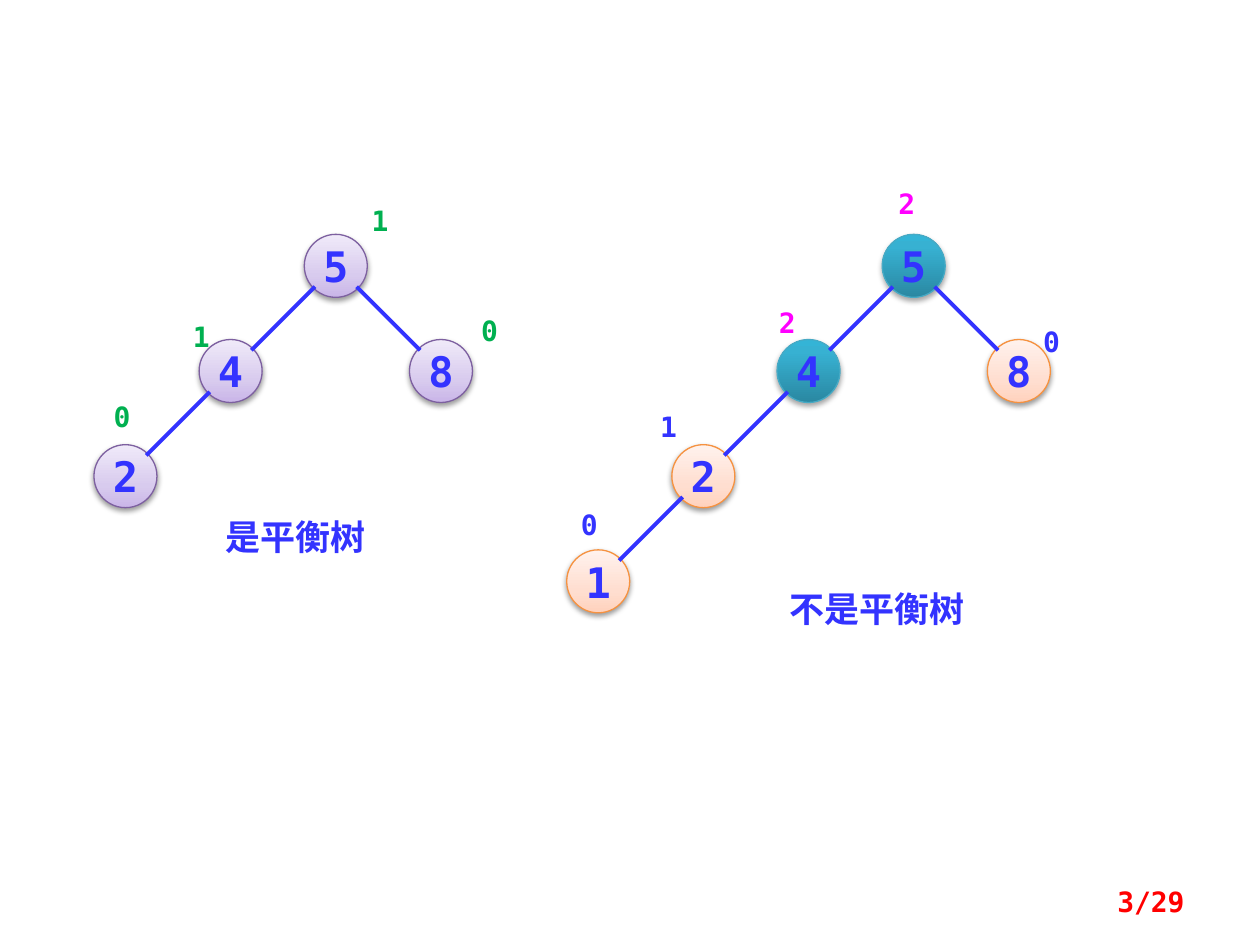
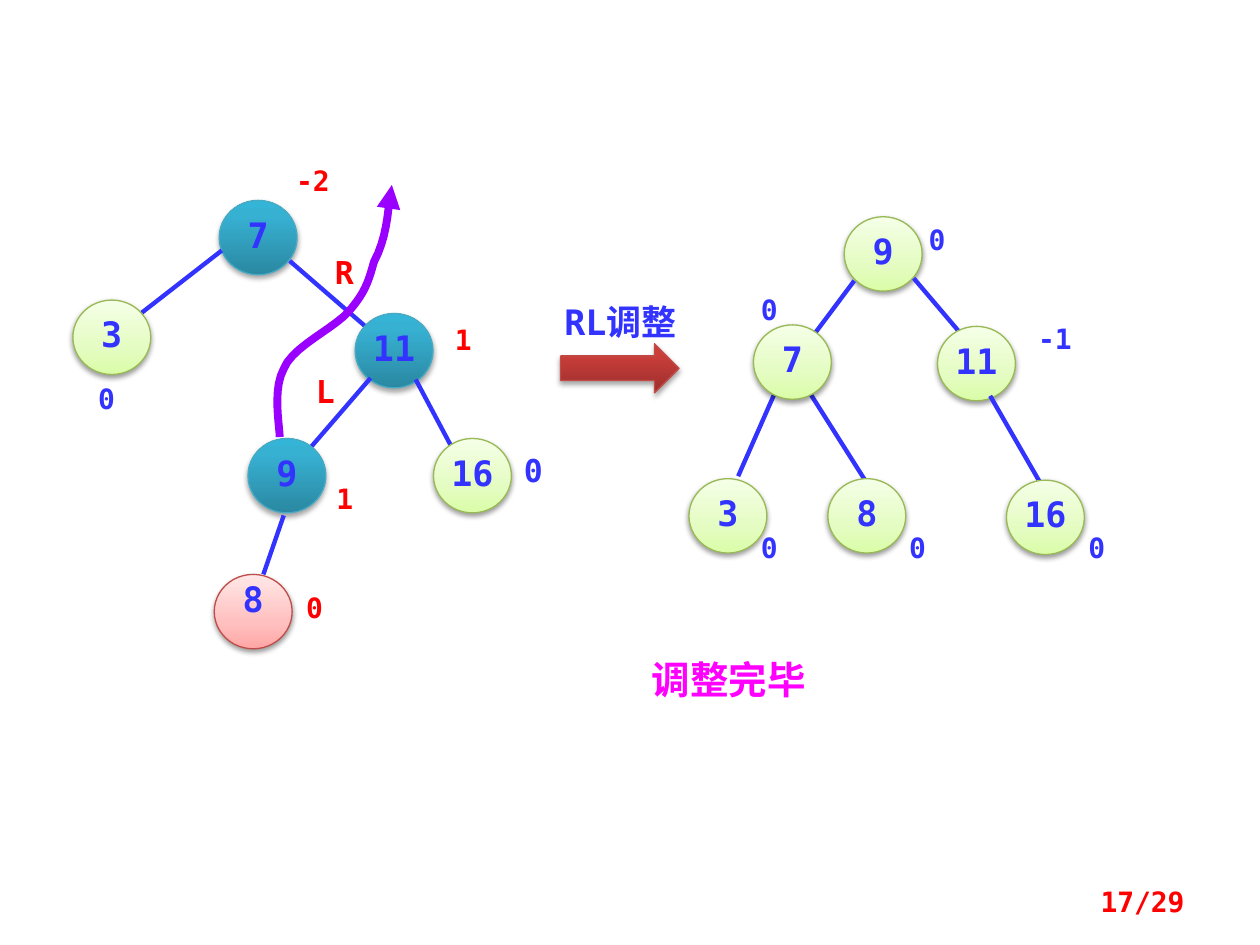
import copy
import dataclasses

import lxml.etree
import pptx
import pptx.dml.color
import pptx.enum.shapes
import pptx.enum.text
import pptx.oxml.ns
import pptx.util

Cm = pptx.util.Cm
Pt = pptx.util.Pt
qn = pptx.oxml.ns.qn
Shape = pptx.enum.shapes.MSO_SHAPE
Align = pptx.enum.text.PP_ALIGN
Anchor = pptx.enum.text.MSO_ANCHOR


@dataclasses.dataclass(frozen=True)
class Look:
    line: str
    stops: tuple
    alpha: int = 38
    drop: float = 1.6


@dataclasses.dataclass(frozen=True)
class Theme:
    font: str = "DejaVu Sans Mono"
    blue: str = "3333FF"
    red: str = "FF0000"
    green: str = "00B050"
    pink: str = "FF00FF"
    violet: str = "9900FF"
    mark: int = 16
    turn: int = 18
    text: int = 20
    done: int = 22
    key: int = 24
    lilac: Look = Look("7D60A0", ((0, "C9B5E8"), (35, "D8CBEE"), (100, "F0EAF9")))
    teal: Look = Look("46AAC5", ((0, "2A88A2"), (80, "37B1D2"), (100, "34B4D6")), 35, 1.8)
    peach: Look = Look("F69240", ((0, "FFD2BD"), (35, "FFDED0"), (100, "FFF2ED")))
    lime: Look = Look("98B955", ((0, "DAFDA7"), (35, "E4FCC2"), (100, "F5FFE7")))
    rose: Look = Look("BF4C48", ((0, "FFA6A5"), (35, "FFC0BF"), (100, "FFE7E7")))
    brick: Look = Look("BF4C48", ((0, "9C2F2D"), (80, "CB3E3A"), (100, "CE3B37")), 35, 1.8)


THEME = Theme()
STEP = 2.12
DISC = 1.27
REACH = 0.42
OVAL = (1.57, 1.5)


def rgb(code):
    return pptx.dml.color.RGBColor.from_string(code)


def write(frame, text, size=THEME.text, color=THEME.blue, align=Align.LEFT,
          anchor=Anchor.TOP, wrap=True, pads=None, space=None):
    frame.word_wrap = wrap
    frame.vertical_anchor = anchor
    if pads:
        (frame.margin_left, frame.margin_top,
         frame.margin_right, frame.margin_bottom) = [Cm(pad) for pad in pads]
    para = frame.paragraphs[0]
    para.alignment = align
    if space:
        para.line_spacing = space
    run = para.add_run()
    run.text = text
    run.font.name = THEME.font
    run.font.size = Pt(size)
    run.font.bold = True
    run.font.color.rgb = rgb(color)


def label(slide, text, x, y, w, h, **form):
    box = slide.shapes.add_textbox(Cm(x), Cm(y), Cm(w), Cm(h))
    write(box.text_frame, text, **form)


def solid(slide, kind, x, y, w, h, look):
    shape = slide.shapes.add_shape(kind, Cm(x), Cm(y), Cm(w), Cm(h))
    shape.fill.gradient()
    shape.fill.gradient_angle = 90
    props = shape._element.spPr
    grads = props.find(".//" + qn("a:gsLst"))
    grads.append(copy.deepcopy(grads[0]))
    for stop, (place, color) in zip(shape.fill.gradient_stops, look.stops):
        stop.position = place / 100
        stop.color.rgb = rgb(color)
    shape.line.color.rgb = rgb(look.line)
    shape.line.width = Pt(0.75)
    shape.shadow.inherit = False
    shade = lxml.etree.SubElement(
        props.find(qn("a:effectLst")), qn("a:outerShdw"), blurRad=str(Pt(3.1)),
        dist=str(Pt(look.drop)), dir="5400000", rotWithShape="0")
    black = lxml.etree.SubElement(shade, qn("a:srgbClr"), val="000000")
    lxml.etree.SubElement(black, qn("a:alpha"), val=str(look.alpha * 1000))
    return shape


def edge(slide, ends, width):
    line = slide.shapes.add_connector(
        pptx.enum.shapes.MSO_CONNECTOR.STRAIGHT, *[Cm(end) for end in ends])
    line.line.color.rgb = rgb(THEME.blue)
    line.line.width = Pt(width)
    lxml.etree.SubElement(line._element.spPr, qn("a:effectLst"))


def tree(slide, x, y, nodes):
    for text, col, row, look in nodes:
        disc = solid(slide, Shape.OVAL, x + col * STEP - DISC / 2,
                     y + row * STEP - DISC / 2, DISC, DISC, look)
        write(disc.text_frame, text, size=THEME.key, align=Align.CENTER,
              anchor=Anchor.MIDDLE, wrap=False)
    for text, col, row, look in nodes[1:]:
        side = 1 if col > 0 else -1
        low, left = y + row * STEP, x + col * STEP
        edge(slide, (left - side * (STEP - REACH), low - STEP + REACH,
                     left - side * REACH, low - REACH), 2.25)


def node(slide, text, x, y, look, ends=None, top=0.2):
    if ends:
        edge(slide, ends, 2.5)
    oval = solid(slide, Shape.OVAL, x, y, *OVAL, look)
    write(oval.text_frame, text, align=Align.CENTER, pads=(0, top, 0, 0), space=0.8)


def bend(start, a, b, end, count=10):
    for i in range(1, count + 1):
        t = i / count
        u = 1 - t
        yield tuple(
            Cm(u**3 * p + 3 * u * u * t * q + 3 * u * t * t * r + t**3 * s)
            for p, q, r, s in zip(start, a, b, end))


def curve(slide, start, parts):
    points = []
    pen = start
    for a, b, end in parts:
        points += bend(pen, a, b, end)
        pen = end
    maker = slide.shapes.build_freeform(Cm(start[0]), Cm(start[1]))
    maker.add_line_segments(points, close=False)
    shape = maker.convert_to_shape()
    shape.fill.background()
    shape.line.color.rgb = rgb(THEME.violet)
    shape.line.width = Pt(4.5)
    shape.shadow.inherit = False
    lxml.etree.SubElement(shape._element.spPr.find(qn("a:ln")),
                          qn("a:tailEnd"), type="triangle")


def page(deck, number):
    slide = deck.slides.add_slide(deck.slide_layouts[6])
    label(slide, f"{number}/29", 18.21, 17.65, 5.92, 1.02, size=THEME.mark,
          color=THEME.red, align=Align.RIGHT, anchor=Anchor.MIDDLE)
    return slide


def balance(deck):
    slide = page(deck, 3)
    lilac, teal, peach = THEME.lilac, THEME.teal, THEME.peach
    tree(slide, 6.77, 5.36, [
        ("5", 0, 0, lilac), ("4", -1, 1, lilac), ("8", 1, 1, lilac), ("2", -2, 2, lilac)])
    tree(slide, 18.42, 5.36, [
        ("5", 0, 0, teal), ("4", -1, 1, teal), ("8", 1, 1, peach),
        ("2", -2, 2, peach), ("1", -3, 3, peach)])
    marks = [
        ("0", 2.29, 8.05, THEME.green), ("1", 3.89, 6.45, THEME.green),
        ("0", 9.7, 6.32, THEME.green), ("1", 7.49, 4.11, THEME.green),
        ("0", 11.71, 10.24, THEME.blue), ("1", 13.31, 8.26, THEME.blue),
        ("2", 15.7, 6.15, THEME.pink), ("0", 21.03, 6.55, THEME.blue),
        ("2", 18.11, 3.76, THEME.pink)]
    for text, x, y, color in marks:
        label(slide, text, x, y, 0.5, 0.69, size=THEME.mark, color=color,
              pads=(0, 0, 0, 0))
    label(slide, "是平衡树", 4.29, 10.26, 4.24, 1.12)
    label(slide, "不是平衡树", 15.67, 11.71, 7.42, 1.12)


def rotate(deck):
    slide = page(deck, 17)
    teal, lime = THEME.teal, THEME.lime
    node(slide, "7", 4.42, 4.04, teal)
    node(slide, "3", 1.47, 6.05, lime, (4.47, 5.05, 2.67, 6.45))
    node(slide, "11", 7.16, 6.32, teal, (5.84, 5.26, 7.39, 6.6))
    node(slide, "9", 5, 8.84, teal, (7.47, 7.62, 6.02, 9.3))
    node(slide, "16", 8.74, 8.84, lime, (8.38, 7.65, 9.12, 9.04))
    node(slide, "8", 4.32, 11.58, THEME.rose, (5.72, 10.39, 5.31, 11.58), top=0)

    node(slide, "8", 16.69, 9.65, lime, (16.28, 7.85, 17.45, 9.7))
    node(slide, "3", 13.89, 9.65, lime, (15.62, 7.92, 14.88, 9.6))
    node(slide, "9", 17.02, 4.37, lime)
    node(slide, "7", 15.19, 6.55, lime, (17.22, 5.66, 16.21, 7.01))
    node(slide, "11", 18.9, 6.58, lime, (18.42, 5.61, 19.33, 6.68))
    node(slide, "16", 20.29, 9.68, lime, (19.96, 7.98, 20.98, 9.75))

    marks = [
        ("0", 5.92, 11.79, THEME.red), ("1", 6.53, 9.58, THEME.red),
        ("1", 8.92, 6.38, THEME.red), ("-2", 5.72, 3.18, THEME.red),
        ("0", 1.73, 7.57, THEME.blue), ("0", 15.09, 10.57, THEME.blue),
        ("0", 18.08, 10.57, THEME.blue), ("0", 21.69, 10.57, THEME.blue),
        ("0", 18.47, 4.37, THEME.blue), ("0", 15.09, 5.77, THEME.blue),
        ("-1", 20.68, 6.35, THEME.blue)]
    for text, x, y, color in marks:
        label(slide, text, x, y, 0.8 * len(text), 0.94, size=THEME.mark, color=color)
    turns = [("R", 6.5, 4.98, THEME.red), ("L", 6.12, 7.37, THEME.red),
             ("0", 10.31, 8.97, THEME.blue)]
    for text, x, y, color in turns:
        label(slide, text, x, y, 1, 1.02, size=THEME.turn, color=color)

    label(slide, "调整完毕", 12.29, 13.11, 4.8, 1.19, size=THEME.done,
          color=THEME.pink, align=Align.CENTER)
    curve(slide, (5.64, 8.81), [
        ((5.64, 8.59), (5.49, 7.87), (5.72, 7.44)),
        ((5.89, 6.99), (6.73, 6.63), (7.04, 6.27)),
        ((7.34, 5.92), (7.42, 5.72), (7.54, 5.28)),
        ((7.85, 4.7), (7.82, 4.06), (7.9, 3.73))])
    solid(slide, Shape.RIGHT_ARROW, 11.3, 6.93, 2.39, 0.99, THEME.brick)
    label(slide, "RL调整", 10.92, 5.94, 3.18, 1.12, align=Align.CENTER)


def main():
    deck = pptx.Presentation()
    deck.slide_width = Cm(25.4)
    deck.slide_height = Cm(19.05)
    balance(deck)
    rotate(deck)
    deck.save("out.pptx")


if __name__ == "__main__":
    main()
